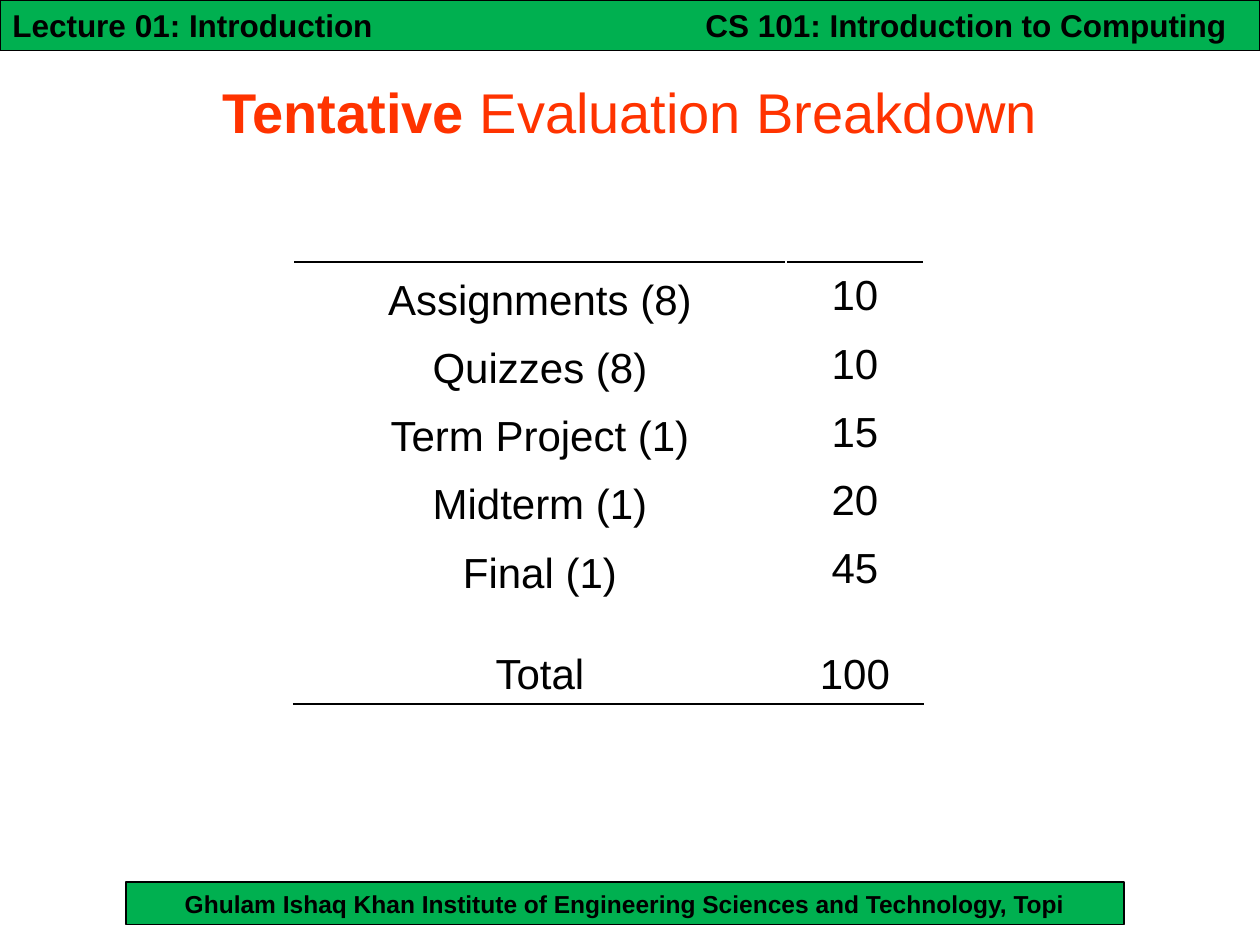
from dataclasses import dataclass

from lxml import etree
from pptx import Presentation
from pptx.dml.color import RGBColor
from pptx.enum import shapes, text
from pptx.oxml import ns
from pptx.util import Inches, Pt


@dataclass(frozen=True)
class Theme:
    font: str = "Arial"
    band: RGBColor = RGBColor(0x00, 0xB0, 0x50)
    ink: RGBColor = RGBColor(0x00, 0x00, 0x00)
    paper: RGBColor = RGBColor(0xFF, 0xFF, 0xFF)
    accent: RGBColor = RGBColor(0xFF, 0x33, 0x00)
    title: int = 32
    table: int = 24
    header: int = 18
    footer: int = 14
    line: float = 0.75
    rule: float = 0.96


THEME = Theme()
LEFT, CENTER = text.PP_ALIGN.LEFT, text.PP_ALIGN.CENTER
BOTTOM, MIDDLE = text.MSO_ANCHOR.BOTTOM, text.MSO_ANCHOR.MIDDLE

GRADES = [
    ("Assignments (8)", "10"),
    ("Quizzes (8)", "10"),
    ("Term Project (1)", "15"),
    ("Midterm (1)", "20"),
    ("Final (1)", "45"),
    ("Total", "100"),
]


def write(tf, words, size, align, anchor, color=THEME.ink, bold=False):
    tf.word_wrap = True
    tf.vertical_anchor = anchor
    p = tf.paragraphs[0]
    p.text = words
    p.alignment = align
    p.font.name = THEME.font
    p.font.size = Pt(size)
    p.font.color.rgb = color
    p.font.bold = bold


def add_band(s, box, words, size, align):
    sp = s.shapes.add_shape(shapes.MSO_SHAPE.RECTANGLE, *map(Inches, box))
    sp.shadow.inherit = False
    sp.fill.solid()
    sp.fill.fore_color.rgb = THEME.band
    sp.line.color.rgb = THEME.ink
    sp.line.width = Pt(THEME.line)
    write(sp.text_frame, words, size, align, MIDDLE, bold=True)


def add_header(s, box):
    left, top, width, height = box
    add_band(s, box, "Lecture 01: Introduction", THEME.header, LEFT)
    course = (left + 0.55 * width, top, 0.45 * width, height)
    sp = s.shapes.add_textbox(*map(Inches, course))
    write(sp.text_frame, "CS 101: Introduction to Computing",
          THEME.header, LEFT, MIDDLE, bold=True)


def add_footer(s, box):
    add_band(s, box,
             "Ghulam Ishaq Khan Institute of Engineering Sciences and Technology, Topi",
             THEME.footer, CENTER)


def place_title(s, box):
    sp = s.shapes.title
    sp.left, sp.top, sp.width, sp.height = map(Inches, box)
    tf = sp.text_frame
    write(tf, "Tentative", THEME.title, CENTER, MIDDLE, THEME.accent)
    p = tf.paragraphs[0]
    p.runs[0].font.bold = True
    r = p.add_run()
    r.text = " Evaluation Breakdown"


def add_rule(cell, side):
    ln = etree.Element(ns.qn(f"a:{side}"), w=str(Pt(THEME.rule)))
    fill = etree.SubElement(ln, ns.qn("a:solidFill"))
    etree.SubElement(fill, ns.qn("a:srgbClr"), val=str(THEME.ink))
    cell._tc.get_or_add_tcPr().insert(0, ln)


def add_grades(s, box):
    left, top, width, height = box
    total_height, score_width = 0.8, 1.09
    last = len(GRADES) - 1
    table = s.shapes.add_table(len(GRADES), 2, *map(Inches, box)).table
    table.first_row = table.horz_banding = False
    table.columns[0].width = Inches(width - score_width)
    table.columns[1].width = Inches(score_width)
    for i, grade in enumerate(GRADES):
        table.rows[i].height = Inches(
            total_height if i == last else (height - total_height) / last)
        for j, words in enumerate(grade):
            cell = table.cell(i, j)
            cell.fill.solid()
            cell.fill.fore_color.rgb = THEME.paper
            anchor = MIDDLE if j == 1 and i < last else BOTTOM
            write(cell.text_frame, words, THEME.table, CENTER, anchor)
            cell.vertical_anchor = anchor
            if i == 0:
                add_rule(cell, "lnT")
            if i == last:
                add_rule(cell, "lnB")


def main():
    prs = Presentation()
    prs.slide_width, prs.slide_height = Inches(10), Inches(7.5)
    s = prs.slides.add_slide(prs.slide_layouts[5])
    s.background.fill.solid()
    s.background.fill.fore_color.rgb = THEME.paper
    add_footer(s, (1, 7, 7.92, 0.34))
    add_header(s, (0, 0, 10, 0.4))
    place_title(s, (0, 0.42, 10, 0.92))
    add_grades(s, (2.33, 2.08, 5, 3.51))
    prs.save("out.pptx")


if __name__ == "__main__":
    main()
